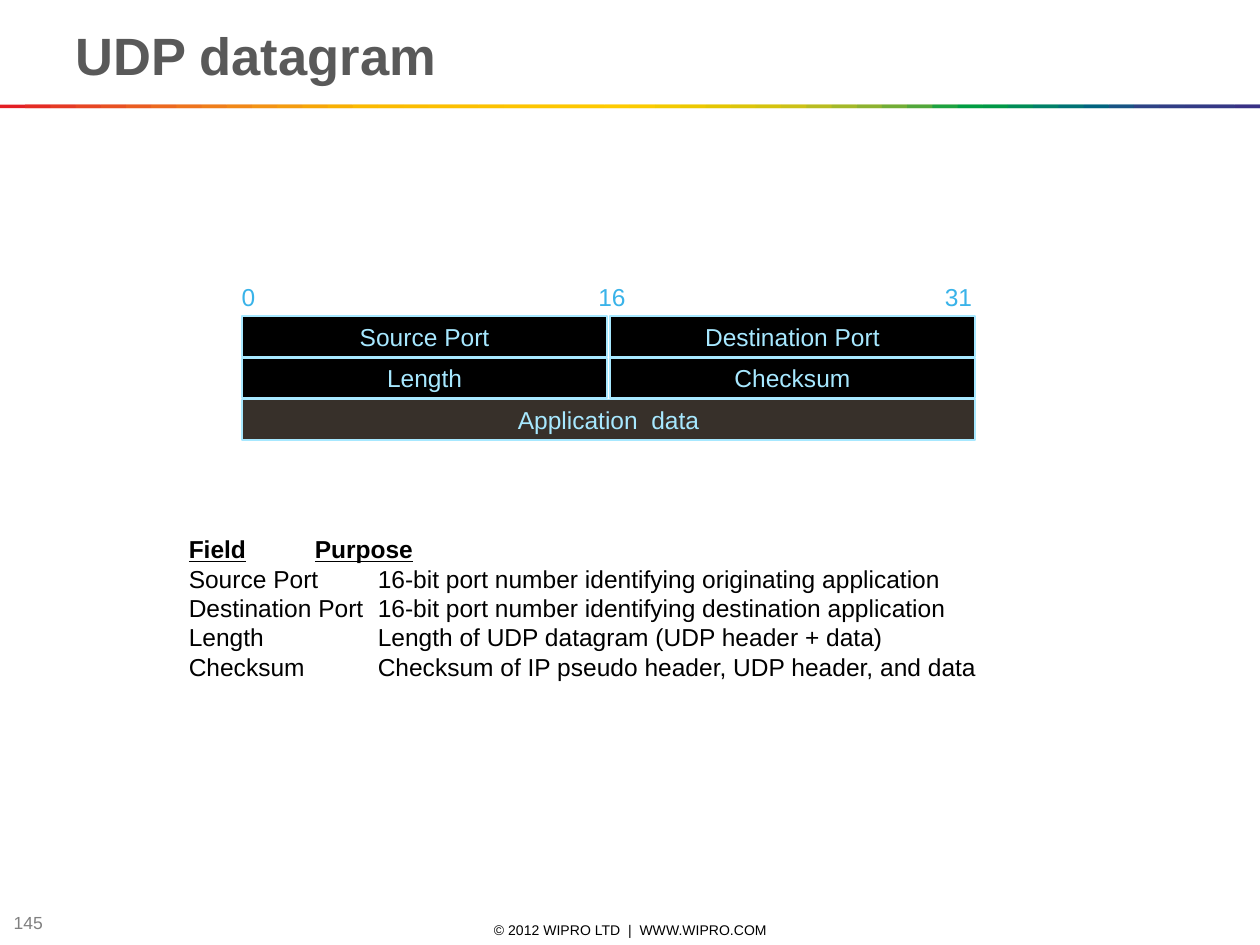
from pptx import Presentation
from pptx.dml.color import RGBColor
from pptx.enum.shapes import MSO_SHAPE as Shape
from pptx.enum.text import MSO_ANCHOR as Anchor, PP_ALIGN as Align
from pptx.oxml.ns import qn
from pptx.util import Pt
from lxml.etree import SubElement

PX = 9144  # 100 px to the inch
FONT = "Arial"

BLACK = RGBColor(0x00, 0x00, 0x00)
GREY = RGBColor(0x80, 0x80, 0x80)
TITLE_GREY = RGBColor(0x59, 0x59, 0x59)
BROWN = RGBColor(0x37, 0x30, 0x2A)
PALE_BLUE = RGBColor(0xA7, 0xE8, 0xFF)
SKY_BLUE = RGBColor(0x39, 0xB3, 0xE9)
RAINBOW = [RGBColor.from_string(code) for code in """
    E31E24 E42C24 E53A24 E74623 E85122 EA5D21 EC691F EE741D EF7E1A F18817
    F39314 F49C0F F6A607 F8B002 FBBA00 FBBB00 FBBD00 FCBF00 FCC000 FCC200
    FDC400 FDC600 FDC700 FEC900 FECB00 FBCB00 F3CA00 ECC800 E4C602 DCC50A
    D5C30E CCC117 B8BC21 A3B829 8CB230 71AD36 51A73B 1DA240 009D43 009846
    008C57 008068 007275 00637F 185384 2E4285 313E85 333B85 353885 393185
""".split()]

FIELD_ROWS = [
    "Field\t\tPurpose",
    "Source Port\t16-bit port number identifying originating application",
    "Destination Port\t16-bit port number identifying destination application",
    "Length\t\tLength of UDP datagram (UDP header + data)",
    "Checksum\t\tChecksum of IP pseudo header, UDP header, and data",
]


def scaled(*lengths):
    return [length * PX for length in lengths]


def set_font(paragraph, size, color, bold=False, underline=False):
    font = paragraph.font
    font.name, font.size, font.bold = FONT, Pt(size), bold
    font.underline = underline
    font.color.rgb = color


def add_text(slide, box, text, size, color, align=Align.LEFT,
             anchor=Anchor.TOP, wrap=True, bold=False):
    frame = slide.shapes.add_textbox(*scaled(*box)).text_frame
    frame.word_wrap = wrap
    frame.vertical_anchor = anchor
    paragraph = frame.paragraphs[0]
    paragraph.text = text
    paragraph.alignment = align
    set_font(paragraph, size, color, bold)


def add_rectangle(slide, box, fill):
    shape = slide.shapes.add_shape(Shape.RECTANGLE, *scaled(*box))
    shape.shadow.inherit = False
    shape.fill.solid()
    shape.fill.fore_color.rgb = fill
    shape.line.fill.background()
    return shape


def add_rainbow(slide, left, top, width, height):
    """Overlapping strips; each covers the right half of the one before."""
    step = width // len(RAINBOW)
    for index, color in enumerate(RAINBOW):
        offset = index * step
        strip = min(2 * step, width - offset)
        add_rectangle(slide, (left + offset, top, strip, height), color)


def add_field(slide, box, text, fill):
    shape = add_rectangle(slide, box, fill)
    shape.line.color.rgb = PALE_BLUE
    shape.line.width = Pt(1)
    frame = shape.text_frame
    frame.word_wrap = False
    frame.vertical_anchor = Anchor.MIDDLE
    paragraph = frame.paragraphs[0]
    paragraph.text = text
    paragraph.alignment = Align.CENTER
    set_font(paragraph, 14, PALE_BLUE)


def add_datagram(slide, left, top, width):
    # Bit numbers
    for offset, label_width, bit in [(-10, 31, "0"), (273, 42, "16"), (548, 42, "31")]:
        add_text(slide, (left + offset, top, label_width, 33), bit, 14,
                 SKY_BLUE, wrap=False)

    # Header fields, then the payload across the full width
    gap, row_height, row_step = 2, 32, 33
    half = (width - gap) // 2
    fields_top = top + 32
    headers = [("Source Port", "Destination Port"), ("Length", "Checksum")]
    for row, names in enumerate(headers):
        for column, name in enumerate(names):
            add_field(slide, (left + column * (half + gap), fields_top + row * row_step,
                              half, row_height), name, BLACK)
    payload_top = fields_top + len(headers) * row_step
    add_field(slide, (left, payload_top, width, row_height), "Application  data", BROWN)


def add_field_list(slide, left, top, width, height):
    frame = slide.shapes.add_textbox(*scaled(left, top, width, height)).text_frame
    frame.word_wrap = True
    frame.text = "\n".join(FIELD_ROWS)
    for index, paragraph in enumerate(frame.paragraphs):
        properties = paragraph._p.get_or_add_pPr()
        tab_list = SubElement(properties, qn("a:tabLst"))
        for stop in scaled(50, 100, 150):
            SubElement(tab_list, qn("a:tab"), pos=str(stop), algn="l")
        heading = index == 0
        set_font(paragraph, 14, BLACK, bold=heading, underline=heading)


def add_footer(slide, left, top):
    add_text(slide, (left + 341, top + 8, 317, 16),
             "© 2012 WIPRO LTD  |  WWW.WIPRO.COM", 8, BLACK,
             Align.CENTER, Anchor.MIDDLE)
    add_text(slide, (left, top, 75, 21), "145", 10, GREY, anchor=Anchor.MIDDLE)


def main():
    presentation = Presentation()
    presentation.slide_width, presentation.slide_height = scaled(1000, 750)
    slide = presentation.slides.add_slide(presentation.slide_layouts[6])

    add_footer(slide, 1, 722)
    add_rainbow(slide, 0, 83, 1000, 3)
    add_text(slide, (50, 12, 900, 61), "UDP datagram", 30, TITLE_GREY,
             anchor=Anchor.BOTTOM, bold=True)
    add_datagram(slide, 192, 219, 582)
    add_field_list(slide, 140, 419, 697, 126)

    presentation.save("out.pptx")


if __name__ == "__main__":
    main()
